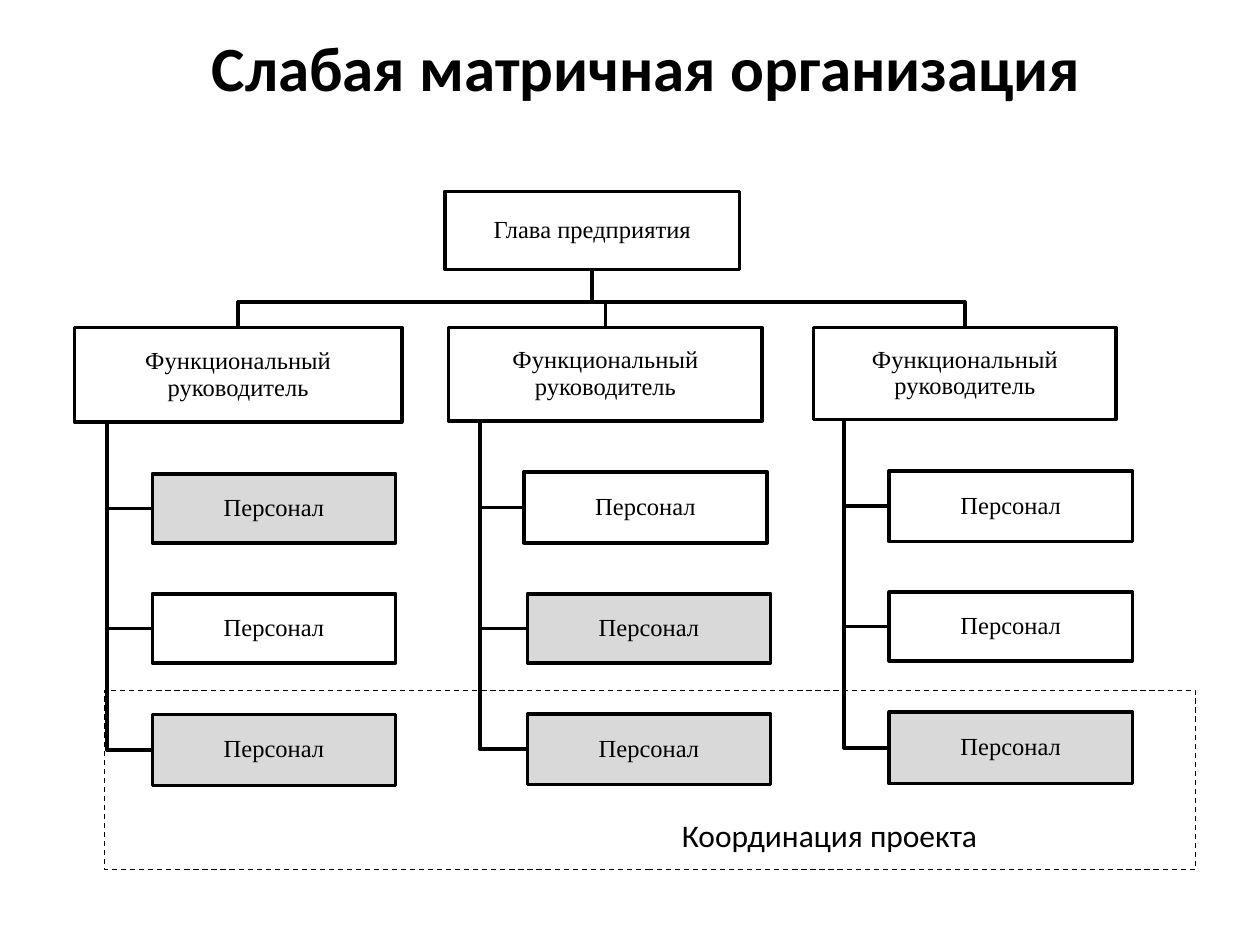
import pptx
import pptx.dml.color
import pptx.enum.dml
import pptx.enum.shapes
import pptx.enum.text
import pptx.util

Pt = pptx.util.Pt
Align = pptx.enum.text.PP_ALIGN
Anchor = pptx.enum.text.MSO_ANCHOR
BLACK = pptx.dml.color.RGBColor(0x00, 0x00, 0x00)
GREY = pptx.dml.color.RGBColor(0xD9, 0xD9, 0xD9)

BUS = 172.6
STAFF_WIDTH = 139
HEAD = (254.2, 109.4, 168.5, 44.6)
TEAMS = [
    ((42.5, 187.2, 187.2, 54),
     [(87.1, 270.7, 39.6, GREY), (87.1, 339.3, 39.6, None), (87.1, 408.2, 40.8, GREY)]),
    ((256.3, 187.2, 179.3, 53.3),
     [(299.4, 269.6, 40.6, None), (301.4, 339.3, 39.6, GREY), (301.4, 408, 40.3, GREY)]),
    ((465, 187.2, 172.8, 52.6),
     [(508.1, 269.1, 40.3, None), (508.1, 338.4, 39.2, None), (508.1, 406.9, 41, GREY)]),
]


def write(shape, words, font="Calibri", size=18, bold=False, align=Align.LEFT,
          anchor=Anchor.TOP, inset=None, spacing=1.0):
    """Put formatted text into a shape."""
    frame = shape.text_frame
    frame.word_wrap = True
    frame.vertical_anchor = anchor
    if inset is not None:
        frame.margin_left = frame.margin_right = Pt(inset)
        frame.margin_top = frame.margin_bottom = Pt(inset)
    para = frame.paragraphs[0]
    para.alignment = align
    para.line_spacing = spacing
    run = para.add_run()
    run.text = words
    run.font.name = font
    run.font.size = Pt(size)
    run.font.bold = bold
    run.font.color.rgb = BLACK


def stroke(shape, fill=None, width=2):
    """Give a shape its black line and its fill, if any."""
    shape.shadow.inherit = False
    shape.line.color.rgb = BLACK
    shape.line.width = Pt(width)
    if fill is None:
        shape.fill.background()
    else:
        shape.fill.solid()
        shape.fill.fore_color.rgb = fill


def frame_box(shapes, area, **style):
    """Add an outlined rectangle."""
    box = shapes.add_shape(pptx.enum.shapes.MSO_SHAPE.RECTANGLE, *map(Pt, area))
    stroke(box, **style)
    return box


def post(shapes, area, words, fill=None):
    """Add one labelled box of the chart."""
    write(frame_box(shapes, area, fill=fill), words, font="Times New Roman", size=14,
          align=Align.CENTER, anchor=Anchor.MIDDLE, inset=0.72, spacing=0.9)


def route(shapes, *points):
    """Add an open line with right-angle bends."""
    start, *rest = [(Pt(x), Pt(y)) for x, y in points]
    pen = shapes.build_freeform(*start)
    pen.add_line_segments(rest, close=False)
    stroke(pen.convert_to_shape())


def link(shapes, boss, staff):
    """Join a manager to the head and to the staff below."""
    left, top, width, height = boss
    middle = HEAD[0] + HEAD[2] / 2
    centre = left + width / 2
    route(shapes, (middle, HEAD[1] + HEAD[3]), (middle, BUS), (centre, BUS), (centre, top))
    trunk = left + width / 10
    for side, upper, tall, _ in staff:
        level = upper + tall / 2
        route(shapes, (trunk, top + height), (trunk, level), (side, level))


def chart(shapes):
    """Draw the lines, then the boxes over them."""
    for boss, staff in TEAMS:
        link(shapes, boss, staff)
    post(shapes, HEAD, "Глава предприятия")
    for boss, staff in TEAMS:
        post(shapes, boss, "Функциональный руководитель")
        for left, top, height, fill in staff:
            post(shapes, (left, top, STAFF_WIDTH, height), "Персонал", fill)


def main():
    """Build and save the slide."""
    deck = pptx.Presentation()
    deck.slide_width, deck.slide_height = Pt(720), Pt(540)
    slide = deck.slides.add_slide(deck.slide_layouts[5])
    title = slide.shapes.title
    title.left, title.top, title.width, title.height = map(Pt, (49.7, 12.2, 639.4, 51.1))
    write(title, "Слабая матричная организация", size=36, bold=True,
          align=Align.CENTER, anchor=Anchor.MIDDLE)
    chart(slide.shapes.add_group_shape().shapes)
    zone = frame_box(slide.shapes, (59.6, 394.5, 623.6, 102.2), width=0.75)
    zone.line.dash_style = pptx.enum.dml.MSO_LINE.DASH
    note = slide.shapes.add_textbox(*map(Pt, (382.5, 463, 209.5, 31)))
    write(note, "Координация проекта")
    deck.save("out.pptx")


if __name__ == "__main__":
    main()
